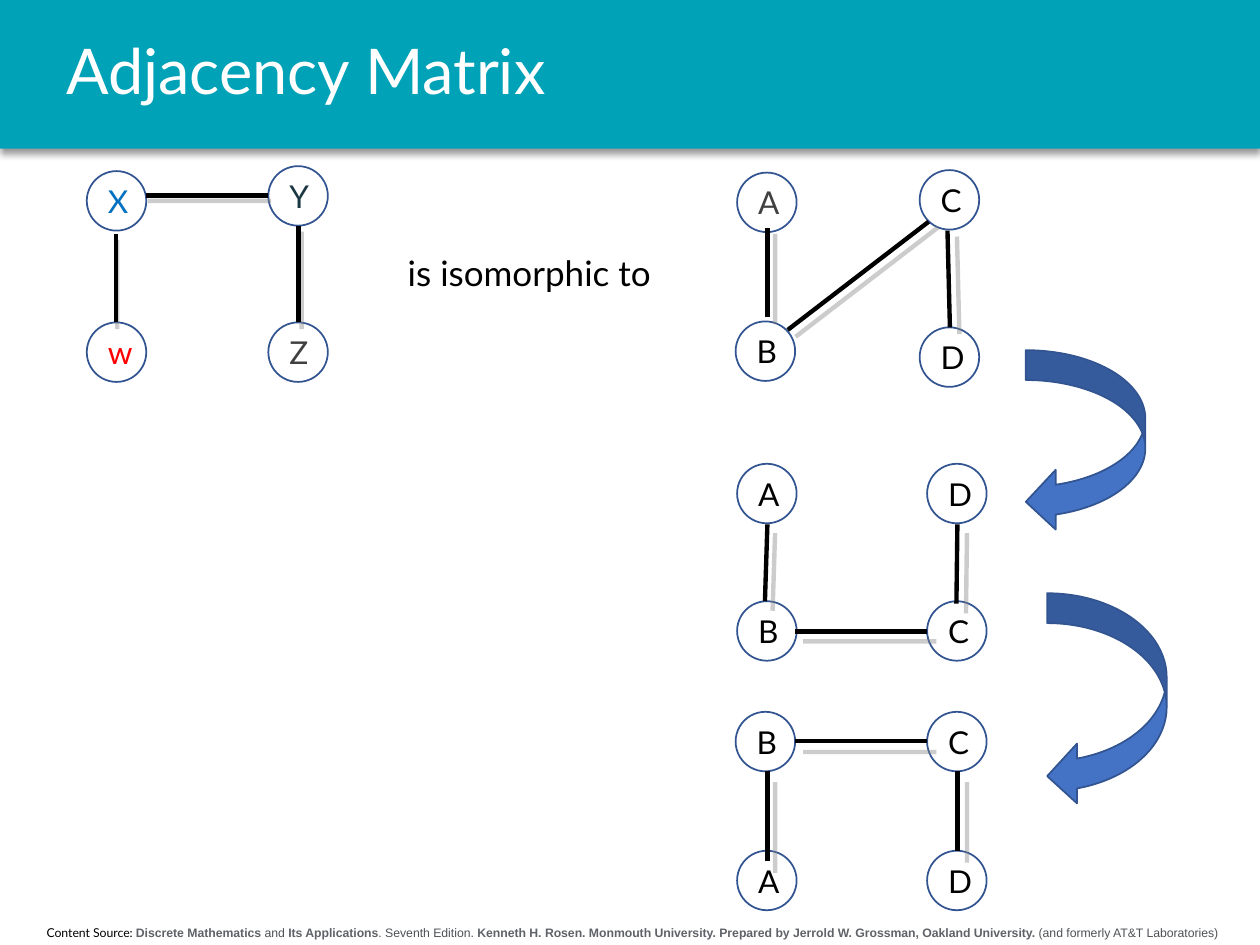
"""Build the Adjacency Matrix slide with its chain of isomorphic graphs."""
from lxml.etree import SubElement
from pptx import Presentation
from pptx.dml.color import RGBColor
from pptx.enum.shapes import MSO_CONNECTOR, MSO_SHAPE
from pptx.enum.text import MSO_ANCHOR, PP_ALIGN
from pptx.oxml.ns import qn
from pptx.util import Cm, Pt

color = RGBColor.from_string


def add_run(paragraph, text, size, font, hex_color, bold=False):
    run = paragraph.add_run()
    run.text = text
    run.font.size = Pt(size)
    run.font.name = font
    run.font.bold = bold
    run.font.color.rgb = color(hex_color)


def drop_shadow(shape, hex_color, blur, distance, scale):
    effects = SubElement(shape.element.spPr, qn("a:effectLst"))
    shadow = SubElement(
        effects, qn("a:outerShdw"), blurRad=str(Pt(blur)), dist=str(Pt(distance)),
        dir="5400000", sx=str(scale), sy=str(scale), algn="t", rotWithShape="0")
    tint = SubElement(shadow, qn("a:srgbClr"), val=hex_color)
    SubElement(tint, qn("a:alpha"), val="40000")


prs = Presentation()
prs.slide_width, prs.slide_height = Cm(25.4), Cm(19.05)
shapes = prs.slides.add_slide(prs.slide_layouts[6]).shapes

banner = shapes.add_shape(MSO_SHAPE.RECTANGLE, Cm(0), Cm(0), Cm(25.4), Cm(3))
banner.fill.solid()
banner.fill.fore_color.rgb = color("00A2B8")
banner.line.fill.background()
drop_shadow(banner, "000000", 4, 3, 100000)

source = shapes.add_textbox(Cm(0.1), Cm(18.52), Cm(25.3), Cm(0.56)).text_frame
source.word_wrap = True
source.paragraphs[0].alignment = PP_ALIGN.CENTER
add_run(source.paragraphs[0], "Content Source: ", 7, "Lato", "000000")
for words, bold in [
    ("Discrete Mathematics", True),
    (" and ", False),
    ("Its Applications", True),
    (". Seventh Edition. ", False),
    ("Kenneth H. Rosen. Monmouth University. "
     "Prepared by Jerrold W. Grossman, Oakland University.", True),
    (" (and formerly AT&T Laboratories)", False),
]:
    add_run(source.paragraphs[0], words, 7, "Arial", "5F6368" if bold else "4D5156", bold)

title = shapes.add_textbox(Cm(1.09), Cm(0), Cm(23.62), Cm(3)).text_frame
title.word_wrap = True
title.vertical_anchor = MSO_ANCHOR.MIDDLE
title.paragraphs[0].line_spacing = 0.9
add_run(title.paragraphs[0], "Adjacency Matrix", 36, "Lato", "FFFFFF")

vertices = [
    ("X", 1.75, 3.45, "0070C0"), ("w", 1.75, 6.5, "FF0000"),
    ("Y", 5.41, 3.35, "1B3842"), ("Z", 5.41, 6.5, "404040"),
    ("C", 18.54, 3.43, "000000"), ("A", 14.86, 3.48, "404040"),
    ("B", 14.83, 6.48, "000000"), ("D", 18.54, 6.6, "000000"),
    ("A", 14.86, 17.15, "000000"), ("D", 18.69, 17.15, "000000"),
    ("C", 18.69, 14.35, "000000"), ("B", 14.83, 14.35, "000000"),
    ("C", 18.69, 12.12, "000000"), ("B", 14.86, 12.12, "000000"),
    ("D", 18.69, 9.35, "000000"), ("A", 14.86, 9.35, "000000"),
]
for label, left, top, ink in vertices:
    vertex = shapes.add_shape(MSO_SHAPE.OVAL, Cm(left), Cm(top), Cm(1.2), Cm(1.2))
    vertex.shadow.inherit = False
    if label == "Z":
        vertex.fill.background()
    else:
        vertex.fill.solid()
        vertex.fill.fore_color.rgb = color("FFFFFF")
    vertex.line.color.rgb = color("325491")
    vertex.line.width = Pt(1)
    vertex.text_frame.vertical_anchor = MSO_ANCHOR.MIDDLE
    vertex.text_frame.paragraphs[0].alignment = PP_ALIGN.CENTER
    add_run(vertex.text_frame.paragraphs[0], label, 18, "Lato", ink)

edges = [
    (2.34, 4.72, 2.34, 6.5), (6.02, 4.55, 6.02, 6.5), (2.95, 3.94, 5.41, 3.94),
    (16.03, 14.94, 18.69, 14.94), (16.03, 12.73, 18.69, 12.73),
    (15.88, 6.65, 18.72, 4.47), (15.47, 10.57, 15.42, 12.12),
    (19.1, 4.65, 19.15, 6.6), (15.47, 4.6, 15.47, 6.4),
    (19.3, 15.54, 19.3, 17.15), (15.47, 15.54, 15.47, 17.35),
    (19.3, 10.57, 19.28, 12.17),
]
for ends in edges:
    edge = shapes.add_connector(MSO_CONNECTOR.STRAIGHT, *map(Cm, ends))
    edge.line.color.rgb = color("000000")
    edge.line.width = Pt(2.5)
    drop_shadow(edge, "808080", 0, 2, 101000)

for left, top, height in [(20.68, 7.06, 3.66), (21.11, 11.96, 4.29)]:
    turn = shapes.add_shape(
        MSO_SHAPE.CURVED_LEFT_ARROW, Cm(left), Cm(top), Cm(2.41), Cm(height))
    turn.shadow.inherit = False
    turn.fill.solid()
    turn.fill.fore_color.rgb = color("4472C4")
    turn.line.color.rgb = color("325491")
    turn.line.width = Pt(1)

relation = shapes.add_textbox(Cm(7.67), Cm(4.95), Cm(6.15), Cm(1.12))
relation.fill.solid()
relation.fill.fore_color.rgb = color("FFFFFF")
relation.line.color.rgb = color("FFFFFF")
relation.line.width = Pt(1)
relation.text_frame.word_wrap = True
relation.text_frame.margin_left = Cm(0.55)
add_run(relation.text_frame.paragraphs[0], "is isomorphic to", 20, "Lato", "000000")

prs.save("out.pptx")
